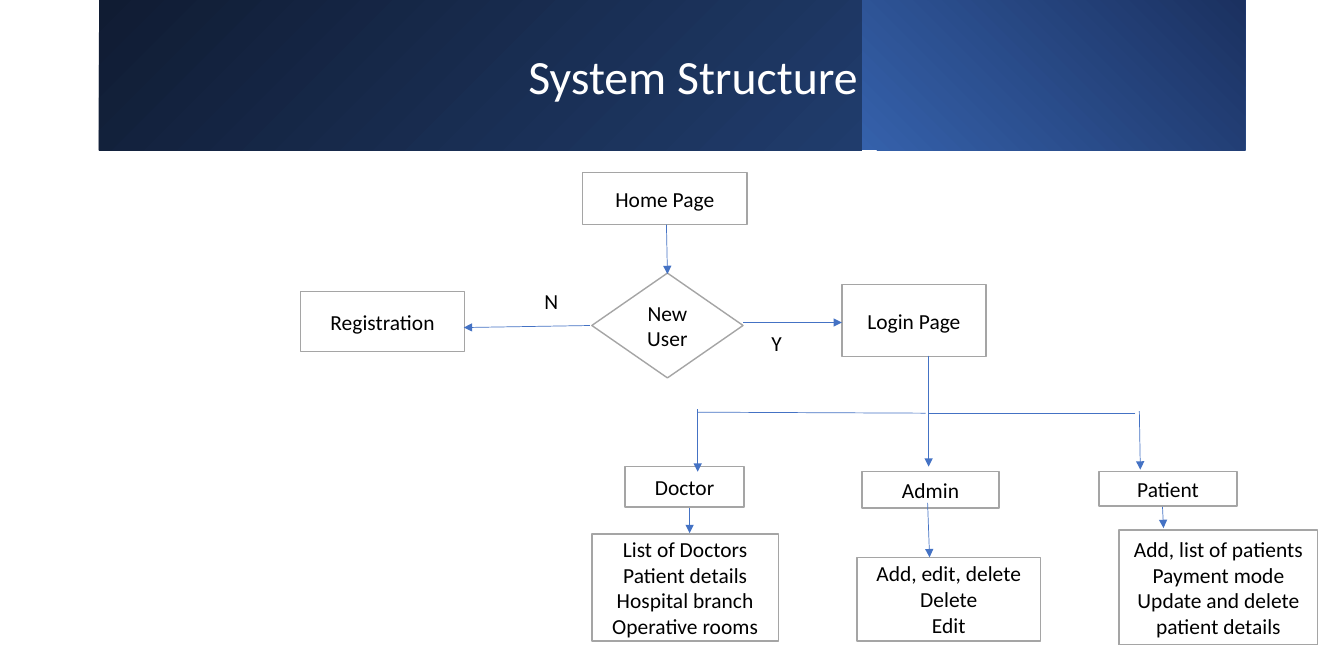
from pptx import Presentation
from pptx.dml.color import RGBColor
from pptx.enum.shapes import MSO_CONNECTOR, MSO_SHAPE
from pptx.enum.text import MSO_ANCHOR, PP_ALIGN
from pptx.oxml.ns import qn
from pptx.util import Inches, Pt
from lxml import etree

RECT, DIAMOND = MSO_SHAPE.RECTANGLE, MSO_SHAPE.DIAMOND
STRAIGHT = MSO_CONNECTOR.STRAIGHT
MIDDLE, TOP = MSO_ANCHOR.MIDDLE, MSO_ANCHOR.TOP
CENTER, LEFT = PP_ALIGN.CENTER, PP_ALIGN.LEFT

NODES = [
    ("Home Page", RECT, 2.8, 0, 1.63, 0.52),
    ("Login Page", RECT, 5.37, 1.11, 1.43, 0.72),
    ("Registration", RECT, 0, 1.18, 1.63, 0.6),
    ("New User", DIAMOND, 2.89, 1, 1.5, 1.04),
    ("Doctor", RECT, 3.22, 2.92, 1.18, 0.4),
    ("Admin", RECT, 5.57, 2.97, 1.36, 0.36),
    ("Patient", RECT, 7.92, 2.97, 1.37, 0.34),
    ("List of Doctors|Patient details|Hospital branch|Operative rooms",
     RECT, 2.89, 3.59, 1.85, 1.06),
    ("Add, edit, delete|Delete|Edit", RECT, 5.52, 3.82, 1.82, 0.83),
    ("Add, list of patients|Payment mode|Update and delete\npatient details",
     RECT, 8.12, 3.55, 1.97, 1.14),
]
ARROWS = [
    (3.63, 0.52, 3.64, 1.01), (4.39, 1.49, 5.37, 1.49),
    (2.87, 1.52, 1.62, 1.54), (3.94, 2.35, 3.94, 2.97),
    (6.23, 2.36, 6.23, 2.92), (8.32, 2.37, 8.33, 2.95),
    (3.86, 3.33, 3.86, 3.58), (6.22, 3.28, 6.24, 3.82),
    (8.55, 3.32, 8.56, 3.53),
]
LINES = [
    (6.23, 1.82, 6.23, 2.36), (3.94, 2.38, 6.2, 2.39),
    (8.28, 2.39, 6.23, 2.39),
]
LABELS = [("N", 2.33, 1.11), ("Y", 4.58, 1.53)]


def color(code):
    """Turn a hex string into a colour."""
    return RGBColor.from_string(code)


def write(shape, text, size=15.3, ink="000000", align=CENTER, anchor=MIDDLE):
    """Fill a shape with paragraphs parted by bars."""
    frame = shape.text_frame
    frame.word_wrap = True
    frame.vertical_anchor = anchor
    frame.margin_left = frame.margin_right = Inches(0.09)
    frame.margin_top = frame.margin_bottom = Inches(0.04)
    for i, words in enumerate(text.split("|")):
        para = frame.paragraphs[0] if i == 0 else frame.add_paragraph()
        para.alignment = align
        for j, part in enumerate(words.split("\n")):
            if j:
                para.add_line_break()
            run = para.add_run()
            run.text = part
            run.font.name = "Calibri"
            run.font.size = Pt(size)
            run.font.color.rgb = color(ink)


def panel(slide, box, start, end, angle):
    """Draw one gradient panel."""
    shape = slide.shapes.add_shape(RECT, *map(Inches, box))
    shape.shadow.inherit = False
    shape.line.fill.background()
    shape.fill.gradient()
    shape.fill.gradient_angle = angle
    for stop, code in zip(shape.fill.gradient_stops, (start, end)):
        stop.color.rgb = color(code)


def banner(slide, box, title):
    """Draw the two-panel heading band."""
    x, y, w, h = box
    split = 7.57
    panel(slide, (x, y, split, h), "101C33", "203C6C", 315)
    panel(slide, (x + split, y, w - split, h), "3561AB", "1B3160", 45)
    text = slide.shapes.add_textbox(
        *map(Inches, (x + 1.28, y + 0.27, 9.23, 0.96)))
    write(text, title, 34.1, "FFFFFF")


def link(slide, ends, arrow):
    """Draw a thin line, with an arrowhead if asked."""
    line = slide.shapes.add_connector(STRAIGHT, *map(Inches, ends))
    line.line.color.rgb = color("4472C4")
    line.line.width = Pt(0.5)
    if arrow:
        head = etree.SubElement(line.line._get_or_add_ln(), qn("a:tailEnd"))
        head.set("type", "triangle")
    etree.SubElement(line._element.spPr, qn("a:effectLst"))


def flow(slide, box):
    """Draw the flowchart from the corner of its box."""
    x, y = box[:2]
    for text, kind, dx, dy, w, h in NODES:
        node = slide.shapes.add_shape(
            kind, *map(Inches, (x + dx, y + dy, w, h)))
        node.shadow.inherit = False
        node.fill.solid()
        node.fill.fore_color.rgb = color("FFFFFF")
        node.line.color.rgb = color("A5A5A5")
        node.line.width = Pt(1)
        write(node, text)
    for group, arrow in ((LINES, False), (ARROWS, True)):
        for x1, y1, x2, y2 in group:
            link(slide, (x + x1, y + y1, x + x2, y + y2), arrow)
    for text, dx, dy in LABELS:
        label = slide.shapes.add_textbox(
            *map(Inches, (x + dx, y + dy, 0.4, 0.34)))
        write(label, text, align=LEFT, anchor=TOP)


deck = Presentation()
deck.slide_width, deck.slide_height = Inches(13.33), Inches(6.4)
page = deck.slides.add_slide(deck.slide_layouts[6])
banner(page, (0.98, 0, 11.37, 1.49), "System Structure")
flow(page, (2.98, 1.71, 10.09, 4.69))
deck.save("out.pptx")
